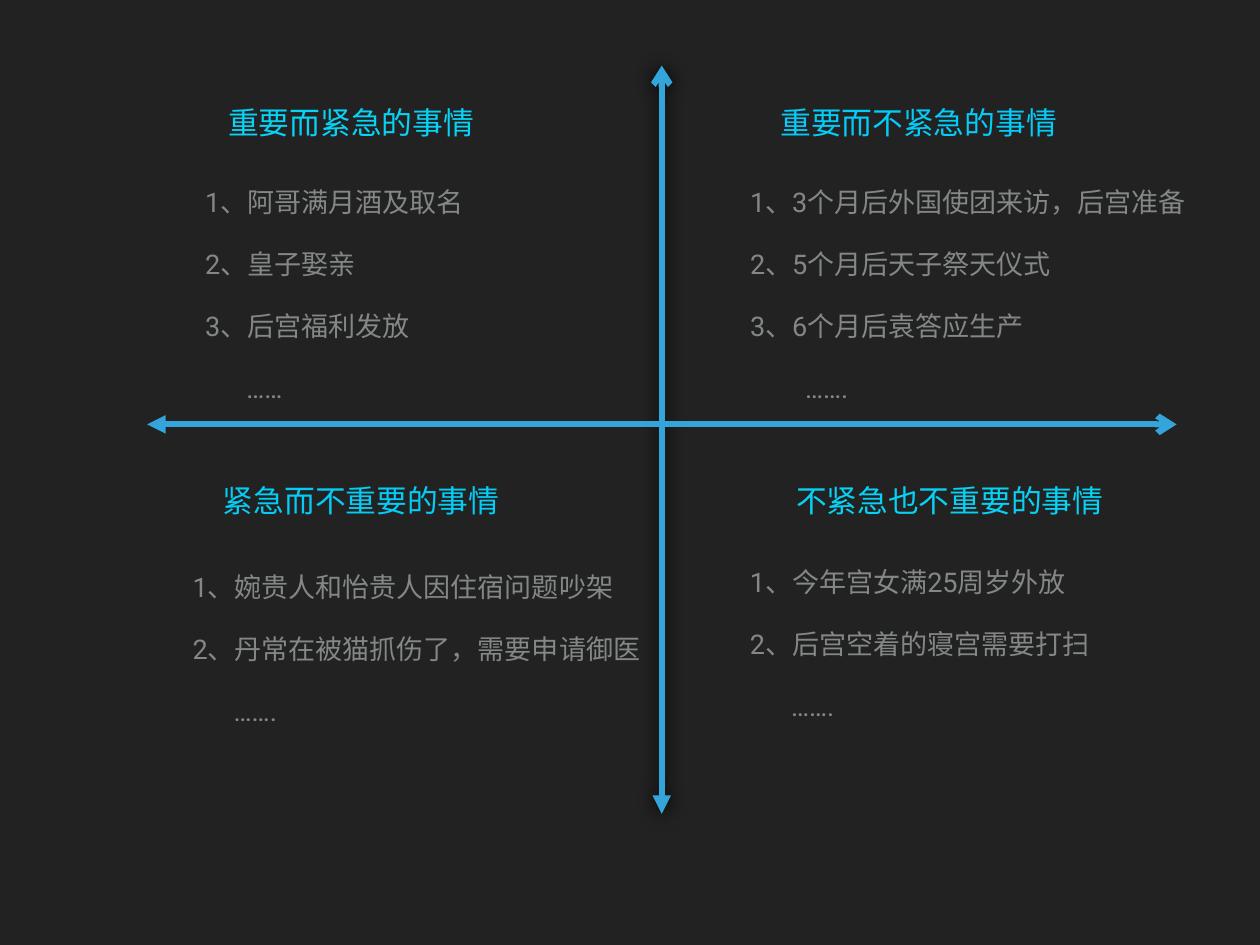
from pptx import Presentation
from pptx.dml.color import RGBColor
from pptx.enum.shapes import MSO_CONNECTOR
from pptx.enum.text import MSO_ANCHOR, MSO_AUTO_SIZE, PP_ALIGN
from pptx.oxml import parse_xml
from pptx.oxml.ns import nsdecls, qn
from pptx.util import Cm, Pt

STRAIGHT = MSO_CONNECTOR.STRAIGHT
MIDDLE = MSO_ANCHOR.MIDDLE
NO_FIT = MSO_AUTO_SIZE.NONE
LEFT = PP_ALIGN.LEFT

# Content: four quadrants; boxes are (left, top, width, height) in cm
QUADRANTS = [
    {"title": "重要而紧急的事情", "color": "06D3F5",
     "title_box": (6.4, 2.74, 7.37, 1.55), "list_box": (5.74, 4.9, 7.95, 7.11),
     "items": ["1、阿哥满月酒及取名", "2、皇子娶亲", "3、后宫福利发放"],
     "more": "……", "indent": 1.18},
    {"title": "重要而不紧急的事情", "color": "03CCF9",
     "title_box": (22.23, 2.74, 8.26, 1.55), "list_box": (21.36, 4.9, 13.08, 7.11),
     "items": ["1、3个月后外国使团来访，后宫准备", "2、5个月后天子祭天仪式",
               "3、6个月后袁答应生产"],
     "more": "…….", "indent": 1.58},
    {"title": "紧急而不重要的事情", "color": "03CDF6",
     "title_box": (6.25, 13.56, 8.26, 1.55), "list_box": (5.38, 16, 13.44, 5.18),
     "items": ["1、婉贵人和怡贵人因住宿问题吵架", "2、丹常在被猫抓伤了，需要申请御医"],
     "more": "…….", "indent": 1.18},
    {"title": "不紧急也不重要的事情", "color": "06D2F6",
     "title_box": (22.68, 13.56, 9.14, 1.55), "list_box": (21.36, 15.88, 10.29, 5.18),
     "items": ["1、今年宫女满25周岁外放", "2、后宫空着的寝宫需要打扫"],
     "more": "…….", "indent": 1.18},
]
# Axes: start x, start y, end x, end y in cm, and whether a shadow is cast
AXES = [
    (18.97, 23.34, 18.97, 1.88, True),
    (4.22, 12.17, 33.73, 12.17, False),
]
THEME = {"background": "222222", "text": "838787", "axis": "34A5DA", "font": "Roboto",
         "title_size": 25, "list_size": 22, "axis_width": 5, "gap": 24, "inset": 0.14}
SHADOW = ('<a:outerShdw blurRad="190500" dist="8890" dir="5400000" rotWithShape="0">'
          '<a:srgbClr val="000000"/></a:outerShdw>')


def write_text(sp, box, lines, size, color):
    """Place a shape and fill it with (text, indent) lines."""
    sp.left, sp.top, sp.width, sp.height = map(Cm, box)
    tf = sp.text_frame
    inset = Cm(THEME["inset"])
    frame_format = {"word_wrap": True, "auto_size": NO_FIT, "vertical_anchor": MIDDLE,
                    "margin_left": inset, "margin_right": inset,
                    "margin_top": inset, "margin_bottom": inset}
    for name, value in frame_format.items():
        setattr(tf, name, value)
    run_format = {"name": THEME["font"], "size": Pt(size), "bold": False}
    for i, (text, indent) in enumerate(lines):
        p = tf.paragraphs[0] if i == 0 else tf.add_paragraph()
        pPr = p._p.get_or_add_pPr()
        pPr.set("marL", str(Cm(indent)))
        pPr.set("indent", "0")
        pPr.append(parse_xml(f'<a:buNone {nsdecls("a")}/>'))
        p.alignment = LEFT
        p.space_before = Pt(THEME["gap"] if i else 0)
        r = p.add_run()
        r.text = text
        for name, value in run_format.items():
            setattr(r.font, name, value)
        r.font.color.rgb = RGBColor.from_string(color)


def add_axis(s, x1, y1, x2, y2, shadow):
    """Draw a double-headed axis."""
    axis = s.shapes.add_connector(STRAIGHT, Cm(x1), Cm(y1), Cm(x2), Cm(y2))
    axis.line.width = Pt(THEME["axis_width"])
    axis.line.color.rgb = RGBColor.from_string(THEME["axis"])
    spPr = axis._element.spPr
    ln = spPr.find(qn("a:ln"))
    for tag, kind in (("headEnd", "triangle"), ("tailEnd", "arrow")):
        ln.append(parse_xml(f'<a:{tag} {nsdecls("a")} type="{kind}"/>'))
    effect = SHADOW if shadow else ""
    spPr.append(parse_xml(f'<a:effectLst {nsdecls("a")}>{effect}</a:effectLst>'))


def main():
    prs = Presentation()
    prs.slide_width, prs.slide_height = Cm(36.12), Cm(27.1)
    s = prs.slides.add_slide(prs.slide_layouts.get_by_name("Comparison"))
    s.background.fill.solid()
    s.background.fill.fore_color.rgb = RGBColor.from_string(THEME["background"])

    # The comparison layout holds the top row; the unused slide title and footers go
    holders = []
    for sp in list(s.placeholders):
        if sp.placeholder_format.idx in (1, 2, 3, 4):
            holders.append(sp)
        else:
            sp._element.getparent().remove(sp._element)
    # Text boxes hold the bottom row
    while len(holders) < 2 * len(QUADRANTS):
        holders.append(s.shapes.add_textbox(0, 0, 0, 0))

    # Quadrant headings and lists
    for q, heading, body in zip(QUADRANTS, holders[::2], holders[1::2]):
        write_text(heading, q["title_box"], [(q["title"], 0)],
                   THEME["title_size"], q["color"])
        lines = [(item, 0) for item in q["items"]] + [(q["more"], q["indent"])]
        write_text(body, q["list_box"], lines, THEME["list_size"], THEME["text"])

    # Axes
    for axis in AXES:
        add_axis(s, *axis)

    prs.save("out.pptx")


if __name__ == "__main__":
    main()
